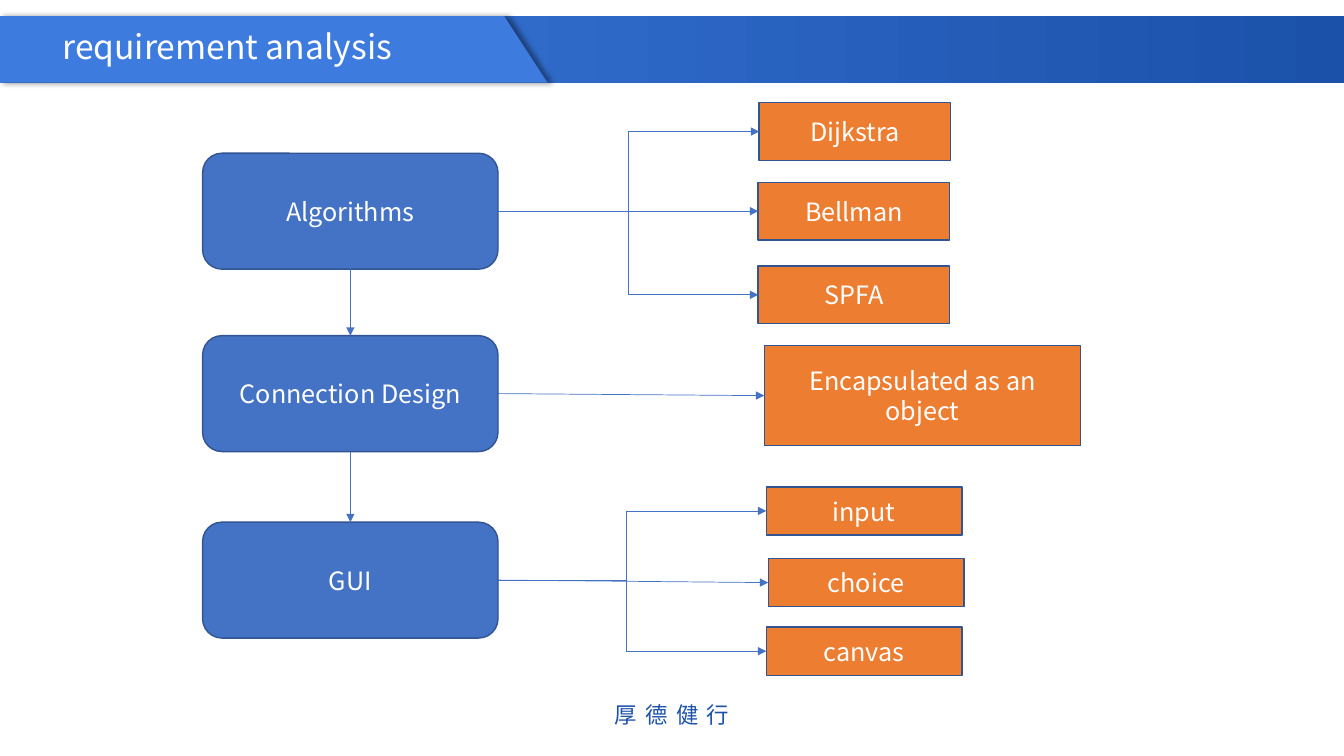
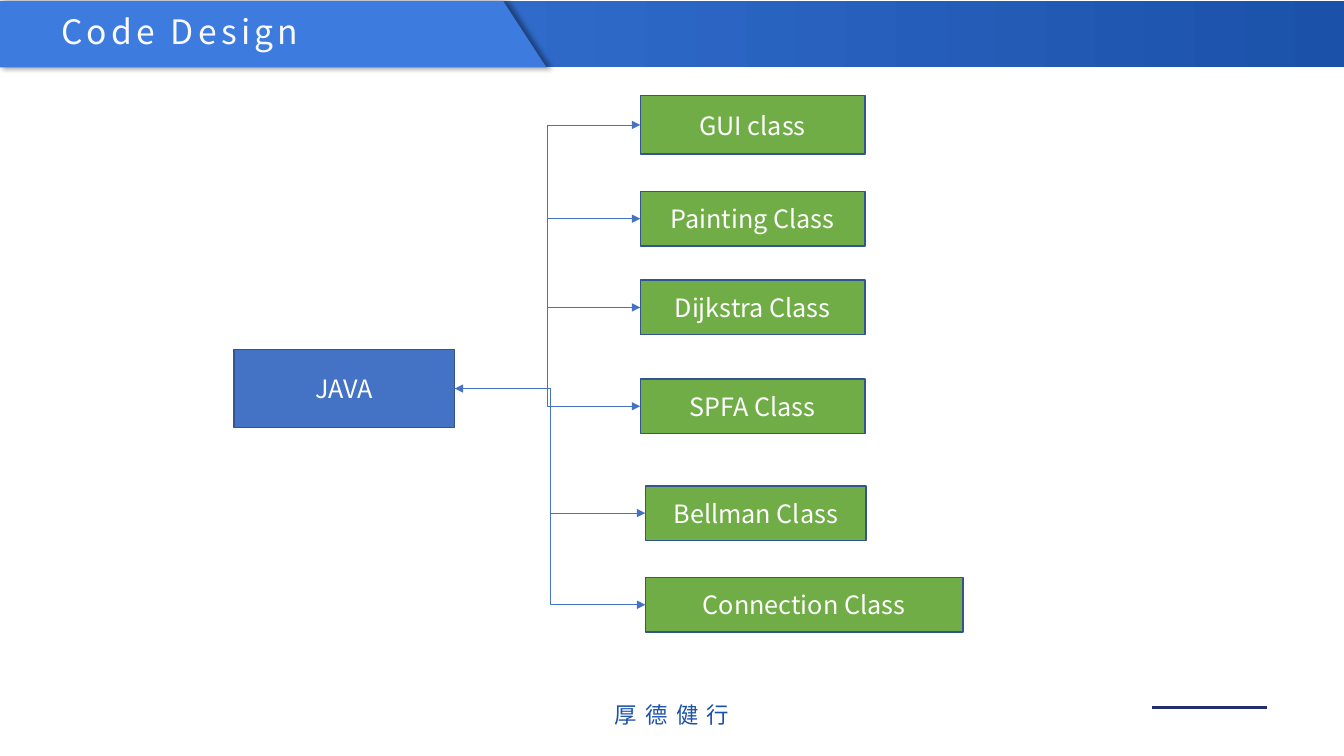
from lxml.etree import SubElement as Sub
from pptx import Presentation
from pptx.dml.color import RGBColor
from pptx.enum.shapes import MSO_CONNECTOR as Conn, MSO_SHAPE as Shape
from pptx.enum.text import MSO_ANCHOR as Anchor, MSO_AUTO_SIZE as Fit, PP_ALIGN as Align
from pptx.oxml.ns import qn
from pptx.util import Inches, Pt

HUES = {
    "band": "3D7BDF", "deep": "1B51A9", "navy": "242E6A",
    "blue": "4472C4", "edge": "325491", "orange": "ED7D31",
    "green": "70AD47", "white": "FFFFFF", "pale": "FAFAFC", "black": "000000",
}
FONT = "Noto Sans CJK SC"
TOP, LEFT, BOTTOM, RIGHT = range(4)


def hue(name):
    return RGBColor.from_string(HUES[name])


class Deck:
    """Holds the presentation, its style and the current slide."""

    def __init__(self):
        self.prs = Presentation()
        self.prs.slide_width = Inches(13.33)
        self.prs.slide_height = Inches(7.5)

    def page(self, title, x, y, ink="white", gap=0):
        """Start a slide with its title band at x, y and the footer motto."""
        self.slide = self.prs.slides.add_slide(self.prs.slide_layouts[6])
        self.shapes = self.slide.shapes
        self.band(x, y)
        self.tab(x, y)
        self.text(title, x + 0.53, y + 0.05, 4.21, 0.5, 24, ink, gap)
        motto = self.text("厚德健行", 4.76, 6.9, 3.81, 0.31, 16, "deep", 6)
        motto.margin_left = motto.margin_right = 0
        motto.margin_top = motto.margin_bottom = 0
        motto.paragraphs[0].alignment = Align.CENTER
        motto.paragraphs[0].line_spacing = 1.2

    def band(self, x, y):
        bar = self.shapes.add_shape(
            Shape.RECTANGLE, Inches(x), Inches(y), Inches(13.36), Inches(0.66))
        bar.shadow.inherit = False
        bar.line.fill.background()
        bar.fill.gradient()
        bar.fill.gradient_angle = 0
        for stop, name in zip(bar.fill.gradient_stops, ("band", "deep")):
            stop.color.rgb = hue(name)

    def tab(self, x, y):
        """Draw the slanted plate behind the title, with a soft shadow."""
        dots = [(-0.7, 0.66), (5.44, 0.66), (5.01, 0), (0, 0), (0, 0.66)]
        first, *rest = [(Inches(x + dx), Inches(y + dy)) for dx, dy in dots]
        pen = self.shapes.build_freeform(*first)
        pen.add_line_segments(rest, close=True)
        plate = pen.convert_to_shape()
        plate.fill.solid()
        plate.fill.fore_color.rgb = hue("band")
        plate.line.fill.background()
        plate.shadow.inherit = False
        glow = Sub(plate.element.spPr.find(qn("a:effectLst")), qn("a:outerShdw"),
                   blurRad=str(Pt(4)), dist=str(Pt(3)), dir="0", rotWithShape="0")
        tone = Sub(glow, qn("a:srgbClr"), val=HUES["black"])
        Sub(tone, qn("a:alpha"), val="40000")

    def style(self, para, size, ink, gap=0):
        font = para.font
        font.size, font.name = Pt(size), FONT
        font.color.rgb = hue(ink)
        props = para._p.pPr.find(qn("a:defRPr"))
        Sub(props, qn("a:ea"), typeface=FONT)
        if gap:
            props.set("spc", str(gap * 100))

    def text(self, words, x, y, w, h, size, ink, gap=0):
        box = self.shapes.add_textbox(Inches(x), Inches(y), Inches(w), Inches(h))
        frame = box.text_frame
        frame.word_wrap = True
        frame.auto_size = Fit.SHAPE_TO_FIT_TEXT
        frame.text = words
        self.style(frame.paragraphs[0], size, ink, gap)
        return frame

    def box(self, words, x, y, w, h, fill, form=Shape.RECTANGLE):
        node = self.shapes.add_shape(form, Inches(x), Inches(y), Inches(w), Inches(h))
        node.shadow.inherit = False
        node.fill.solid()
        node.fill.fore_color.rgb = hue(fill)
        node.line.color.rgb = hue("edge")
        node.line.width = Pt(1)
        frame = node.text_frame
        frame.word_wrap = True
        frame.vertical_anchor = Anchor.MIDDLE
        frame.text = words
        para = frame.paragraphs[0]
        para.alignment = Align.CENTER
        self.style(para, 18, "white")
        return node

    def line(self, kind, ends, color, width):
        link = self.shapes.add_connector(kind, *map(Inches, ends))
        link.line.color.rgb = hue(color)
        link.line.width = Pt(width)
        Sub(link.element.spPr, qn("a:effectLst"))
        return link

    def join(self, start, end, sides=(RIGHT, LEFT), bend=None, both=False):
        """Join two boxes by an arrow; bend is where an elbow turns, 0 to 1."""
        kind = Conn.STRAIGHT if bend is None else Conn.ELBOW
        link = self.line(kind, (0, 0, 0, 0), "blue", 0.5)
        link.begin_connect(start, sides[0])
        link.end_connect(end, sides[1])
        props = link.element.spPr
        if bend is not None:
            turns = props.find(qn("a:prstGeom")).find(qn("a:avLst"))
            Sub(turns, qn("a:gd"), name="adj1", fmla=f"val {round(bend * 100000)}")
        for tip in ("a:headEnd", "a:tailEnd") if both else ("a:tailEnd",):
            Sub(props.find(qn("a:ln")), qn(tip), type="triangle")


def needs(deck):
    deck.page("requirement analysis", -0.01, 0.16)
    steps = [deck.box(words, 2.01, y, 2.93, 1.15, "blue", Shape.ROUNDED_RECTANGLE)
             for words, y in (("Algorithms", 1.52), ("Connection Design", 3.33),
                              ("GUI", 5.18))]
    for upper, lower in zip(steps, steps[1:]):
        deck.join(upper, lower, (BOTTOM, TOP))
    algo, design, gui = steps
    for step, words, x, y, w, h, bend in (
        (algo, "Dijkstra", 7.53, 1.02, 1.9, 0.57, 0.5),
        (algo, "Bellman", 7.52, 1.81, 1.9, 0.57, None),
        (algo, "SPFA", 7.52, 2.64, 1.9, 0.57, 0.5),
        (design, "Encapsulated as an object", 7.58, 3.43, 3.14, 0.99, None),
        (gui, "input", 7.6, 4.83, 1.94, 0.48, 0.48),
        (gui, "choice", 7.62, 5.54, 1.94, 0.48, None),
        (gui, "canvas", 7.6, 6.22, 1.94, 0.48, 0.48),
    ):
        deck.join(step, deck.box(words, x, y, w, h, "orange"), bend=bend)


def code(deck):
    deck.page("Code Design", -0.02, 0.01, "pale", 3)
    deck.line(Conn.STRAIGHT, (11.43, 7.02, 12.57, 7.02), "navy", 2.5)
    java = deck.box("JAVA", 2.32, 3.47, 2.19, 0.77, "blue")
    for words, x, y, w, h in (
        ("GUI class", 6.35, 0.95, 2.23, 0.58),
        ("Painting Class", 6.35, 1.9, 2.23, 0.54),
        ("Dijkstra Class", 6.35, 2.78, 2.23, 0.54),
        ("SPFA Class", 6.35, 3.76, 2.23, 0.54),
        ("Bellman Class", 6.4, 4.82, 2.19, 0.54),
        ("Connection Class", 6.4, 5.73, 3.15, 0.54),
    ):
        part = deck.box(words, x, y, w, h, "green")
        deck.join(java, part, bend=0.5, both=words == "Dijkstra Class")


def main():
    deck = Deck()
    needs(deck)
    code(deck)
    deck.prs.save("out.pptx")


if __name__ == "__main__":
    main()
